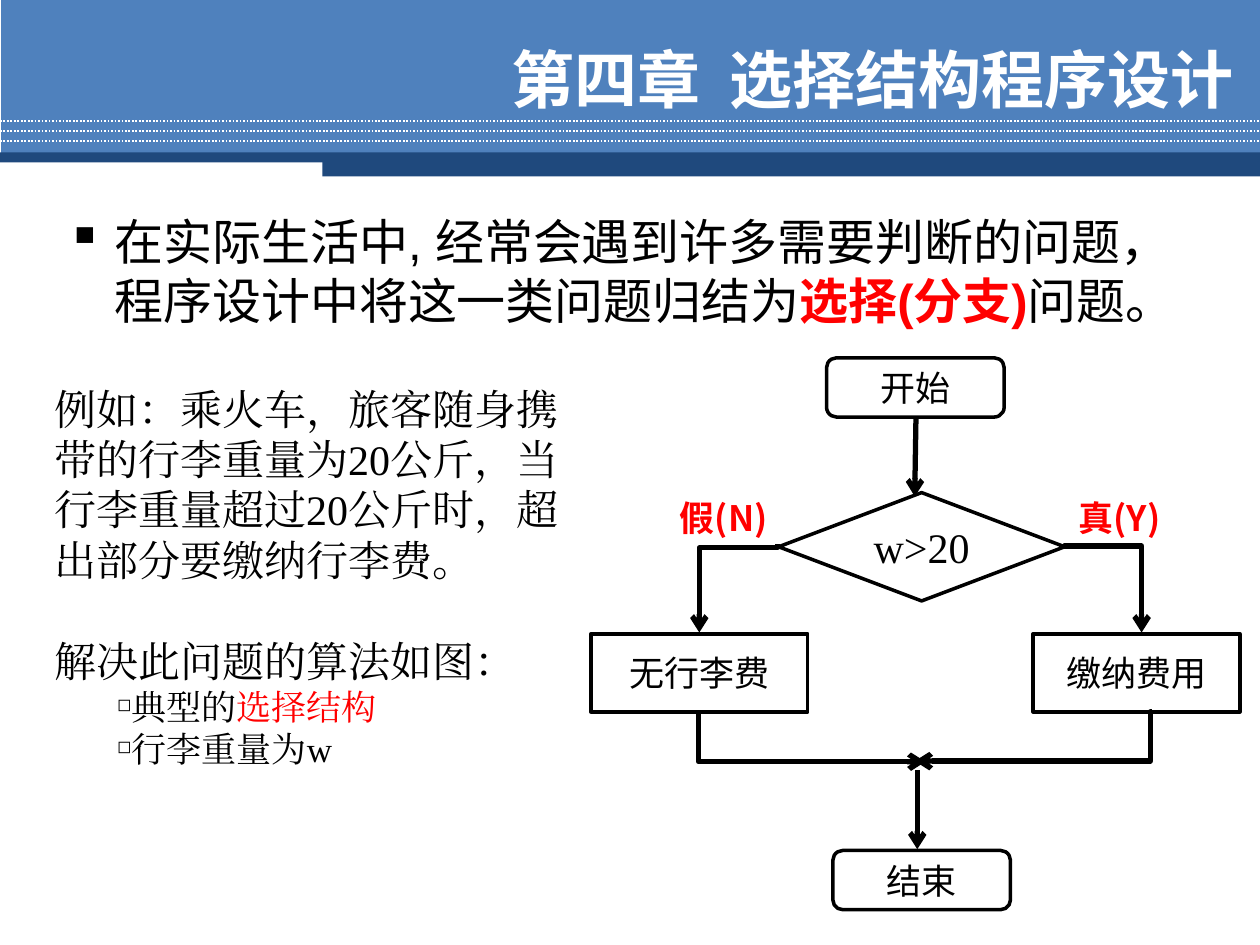
"""Builds a slide on selection structures with a luggage fee flowchart."""
from dataclasses import dataclass
from typing import Optional

from lxml.etree import SubElement
from pptx import Presentation
from pptx.dml.color import RGBColor
from pptx.enum.dml import MSO_LINE
from pptx.enum.shapes import MSO_CONNECTOR, MSO_SHAPE
from pptx.enum.text import MSO_ANCHOR, PP_ALIGN
from pptx.oxml.ns import qn
from pptx.util import Inches, Pt

WHITE = RGBColor(255, 255, 255)
BLACK = RGBColor(0, 0, 0)
RED = RGBColor(255, 0, 0)
BLUE = RGBColor(0x4F, 0x81, 0xBD)
NAVY = RGBColor(0x1F, 0x49, 0x7D)
SANS, SERIF, HEAD = "Arial", "Times New Roman", "Noto Sans CJK SC"
WIDTH, HEIGHT = Inches(10), Inches(7.5)
COLS, ROWS = 10, 7.5

Box = tuple[float, float, float, float]


@dataclass
class Node:
    kind: MSO_SHAPE
    box: Box
    text: str
    font: str = SANS
    size: int = 20


@dataclass
class Elbow:
    box: Box
    turn: int
    flip: str = ""
    form: str = "bentConnector3"
    bend: Optional[int] = None


@dataclass
class Label:
    box: Box
    text: str


def place(box: Box) -> list[int]:
    """Turns grid columns and rows into slide lengths."""
    units = (WIDTH / COLS, HEIGHT / ROWS) * 2
    return [round(part * unit) for part, unit in zip(box, units)]


def style(para, name: str, size: int, color=BLACK, bold=False, align=None) -> None:
    """Sets the font and alignment of a paragraph."""
    font = para.font
    font.name, font.size, font.bold = name, Pt(size), bold
    font.color.rgb = color
    para.alignment = align
    base = para._p.pPr.find(qn("a:defRPr"))
    SubElement(base, qn("a:ea")).set("typeface", name)


def bullet(para, mark: str, left: float, hang: float = 0, share: int = 100) -> None:
    """Gives a paragraph a bullet and its indents."""
    props = para._p.get_or_add_pPr()
    props.set("marL", str(Inches(left)))
    props.set("indent", str(-Inches(hang)))
    SubElement(props, qn("a:buSzPct")).set("val", str(share * 1000))
    SubElement(props, qn("a:buChar")).set("char", mark)


def write(para, *parts: str, strong: bool = False) -> None:
    """Adds runs, with every second one in red."""
    for place_no, part in enumerate(parts):
        run = para.add_run()
        run.text = part
        if place_no % 2:
            run.font.color.rgb = RED
            if strong:
                run.font.bold = True


def frame(slide, box: Box):
    """Adds a wrapping text box and returns its frame."""
    text = slide.shapes.add_textbox(*place(box)).text_frame
    text.word_wrap = True
    return text


def band(slide, box: Box, color: RGBColor) -> None:
    """Draws a plain filled bar."""
    shape = slide.shapes.add_shape(MSO_SHAPE.RECTANGLE, *place(box))
    shape.shadow.inherit = False
    shape.fill.solid()
    shape.fill.fore_color.rgb = color
    shape.line.fill.background()


def link(slide, kind, start: tuple, end: tuple, color=BLACK, width=3, arrow=True):
    """Draws a connector between two grid points."""
    wire = slide.shapes.add_connector(kind, *place(start + end))
    wire.line.color.rgb = color
    wire.line.width = Pt(width)
    if arrow:
        SubElement(wire.line._get_or_add_ln(), qn("a:tailEnd")).set("type", "arrow")
    else:
        wire.line.dash_style = MSO_LINE.ROUND_DOT
    SubElement(wire._element.spPr, qn("a:effectLst"))
    return wire


def bend(slide, item: Elbow) -> None:
    """Draws a turned elbow connector."""
    x, y, wide, high = item.box
    wire = link(slide, MSO_CONNECTOR.ELBOW, (x, y), (x + wide, y + high))
    props = wire._element.spPr
    form = props.find(qn("a:xfrm"))
    form.set("rot", str(item.turn * 60000))
    if item.flip:
        form.set("flip" + item.flip, "1")
    shape = props.find(qn("a:prstGeom"))
    shape.set("prst", item.form)
    if item.bend is not None:
        guide = SubElement(shape.find(qn("a:avLst")), qn("a:gd"))
        guide.set("name", "adj1")
        guide.set("fmla", f"val {item.bend}")


def step(slide, node: Node) -> None:
    """Draws one outlined flowchart step."""
    shape = slide.shapes.add_shape(node.kind, *place(node.box))
    shape.shadow.inherit = False
    shape.fill.background()
    shape.line.color.rgb = BLACK
    shape.line.width = Pt(2)
    text = shape.text_frame
    text.vertical_anchor = MSO_ANCHOR.MIDDLE
    para = text.paragraphs[0]
    style(para, node.font, node.size, align=PP_ALIGN.CENTER)
    write(para, node.text)


def header(slide) -> None:
    """Draws the banner and the title."""
    band(slide, (0.01, 0, 9.99, 1.23), BLUE)
    for row in range(3):
        y = 0.96 + 0.08 * row
        link(slide, MSO_CONNECTOR.STRAIGHT, (0, y), (COLS, y), WHITE, 1, False)
    band(slide, (0, 1.21, 10, 0.08), NAVY)
    band(slide, (2.56, 1.24, 7.44, 0.16), NAVY)
    title = slide.shapes.title
    title.left, title.top, title.width, title.height = place((2.97, 0.33, 6.92, 0.58))
    title.text_frame.vertical_anchor = MSO_ANCHOR.MIDDLE
    para = title.text_frame.paragraphs[0]
    style(para, HEAD, 36, WHITE, True, PP_ALIGN.RIGHT)
    write(para, "第四章  选择结构程序设计")


def prose(slide) -> None:
    """Writes the lead point and the example."""
    lead = frame(slide, (0.43, 1.63, 9.18, 1.17)).paragraphs[0]
    bullet(lead, "▪", 0.38, 0.38)
    lead.space_before = Pt(6)
    style(lead, SANS, 28)
    write(lead, "在实际生活中, 经常会遇到许多需要判断的问题， 程序设计中将这一类问题归结为",
          "选择(分支)", "问题。", strong=True)
    text = frame(slide, (0.43, 3.04, 4.06, 4.31))
    text.margin_left = text.margin_right = text.margin_top = text.margin_bottom = 0
    case = text.paragraphs[0]
    style(case, SERIF, 24)
    write(case, "例如：乘火车，旅客随身携带的行李重量为20公斤，当行李重量超过20公斤时，超出部分要缴纳行李费。")
    plan = text.add_paragraph()
    plan.space_before = Pt(29)
    style(plan, SERIF, 24)
    write(plan, "解决此问题的算法如图：")
    for parts in (("典型的", "选择结构"), ("行李重量为w",)):
        para = text.add_paragraph()
        bullet(para, "◻", 0.5, share=50)
        style(para, SERIF, 20)
        write(para, *parts)


def chart(slide) -> None:
    """Draws the luggage fee flowchart."""
    ends, task = MSO_SHAPE.FLOWCHART_ALTERNATE_PROCESS, MSO_SHAPE.FLOWCHART_PROCESS
    for node in (
        Node(ends, (6.56, 2.84, 1.41, 0.47), "开始"),
        Node(MSO_SHAPE.FLOWCHART_DECISION, (6.18, 3.91, 2.27, 0.86), "w>20", SERIF, 24),
        Node(task, (4.69, 5.03, 1.72, 0.62), "无行李费"),
        Node(task, (8.2, 5.03, 1.64, 0.62), "缴纳费用"),
        Node(ends, (6.61, 6.75, 1.41, 0.47), "结束"),
    ):
        step(slide, node)
    for start, end in (((7.27, 3.31), (7.26, 3.94)), ((7.28, 6.11), (7.28, 6.74))):
        link(slide, MSO_CONNECTOR.STRAIGHT, start, end)
    for item in (
        Elbow((5.51, 4.36, 0.7, 0.62), 90, bend=4000),
        Elbow((8.4, 4.36, 0.7, 0.62), 270, "H", bend=1900),
        Elbow((6.25, 4.95, 0.39, 1.8), 270, "H", "bentConnector2"),
        Elbow((7.26, 5.65, 1.88, 0.39), 180, "V", bend=600),
    ):
        bend(slide, item)
    for label in (Label((8.28, 3.89, 1.21, 0.43), "真(Y)"),
                  Label((5.16, 3.89, 1.17, 0.43), "假(N)")):
        para = frame(slide, label.box).paragraphs[0]
        style(para, HEAD, 20, RED, True, PP_ALIGN.CENTER)
        write(para, label.text)


def main() -> None:
    """Builds and saves the slide."""
    deck = Presentation()
    deck.slide_width, deck.slide_height = WIDTH, HEIGHT
    slide = deck.slides.add_slide(deck.slide_layouts[5])
    header(slide)
    tree = slide.shapes._spTree
    tree.append(slide.shapes.title._element)
    prose(slide)
    chart(slide)
    deck.save("out.pptx")


if __name__ == "__main__":
    main()
